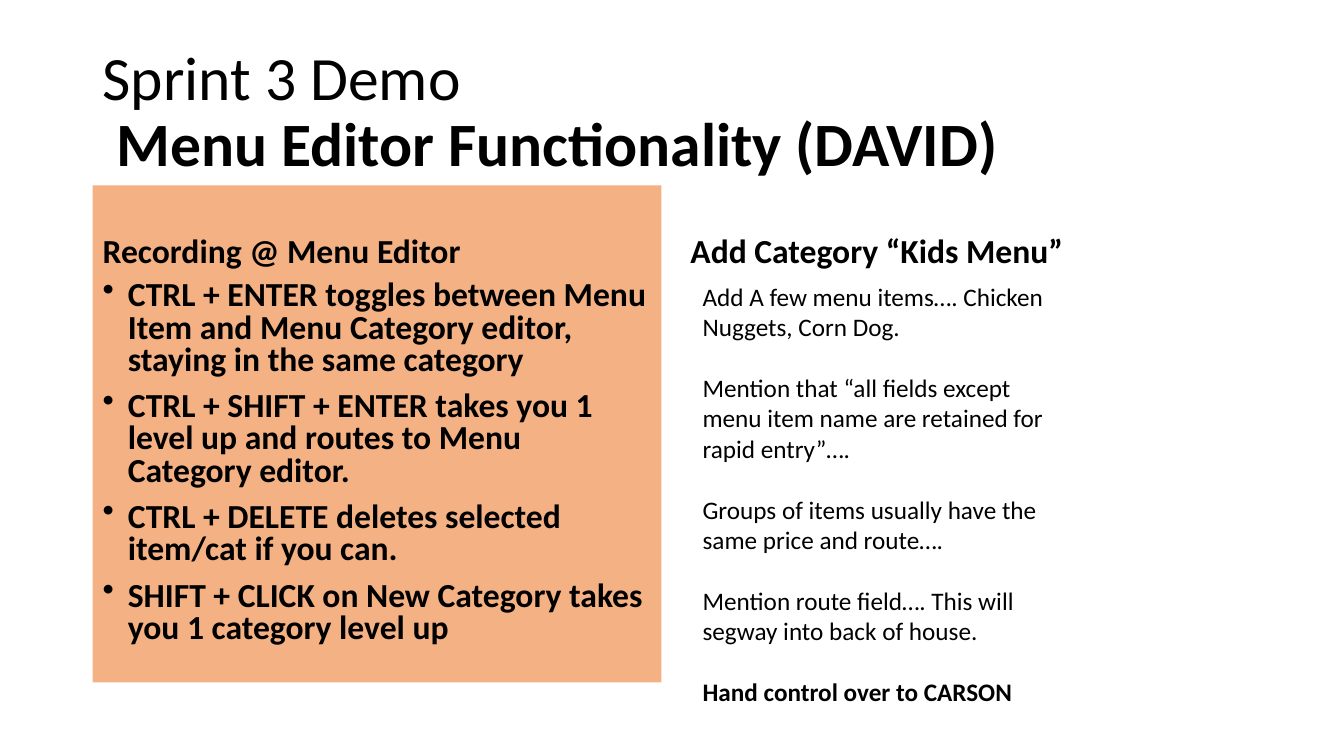
"""Builds the Sprint 3 menu editor demo slide."""
from dataclasses import dataclass
from typing import Any

import pptx
import pptx.dml.color
import pptx.enum.shapes
import pptx.enum.text
import pptx.oxml
import pptx.oxml.ns
import pptx.util

Inches = pptx.util.Inches
Pt = pptx.util.Pt
Color = pptx.dml.color.RGBColor.from_string
Anchor = pptx.enum.text.MSO_ANCHOR


@dataclass(frozen=True)
class Theme:
    font: str = "Calibri"
    ink: str = "000000"
    peach: str = "F4B183"
    title: int = 44
    body: int = 24
    note: int = 18


@dataclass
class Deck:
    theme: Theme
    slide: Any

    def apply(self, target, values):
        for name, value in values.items():
            setattr(target, name, value)

    def fill(self, frame, lines, size, bold=False, anchor=Anchor.TOP, **form):
        self.apply(frame, {"word_wrap": True, "vertical_anchor": anchor})
        for index, text in enumerate(lines):
            para = frame.add_paragraph() if index else frame.paragraphs[0]
            self.apply(para, {"alignment": pptx.enum.text.PP_ALIGN.LEFT, **form})
            run = para.add_run()
            run.text = text
            self.apply(run.font, {"name": self.theme.font, "size": Pt(size), "bold": bold})
            run.font.color.rgb = Color(self.theme.ink)
        return frame.paragraphs

    def text(self, box, lines, size, **form):
        shape = self.slide.shapes.add_textbox(*map(Inches, box))
        return self.fill(shape.text_frame, lines, size, **form)

    def panel(self, box, lines, size, **form):
        kind = pptx.enum.shapes.MSO_SHAPE.RECTANGLE
        shape = self.slide.shapes.add_shape(kind, *map(Inches, box))
        shape.shadow.inherit = False
        shape.fill.solid()
        shape.fill.fore_color.rgb = Color(self.theme.peach)
        shape.line.fill.background()
        return self.fill(shape.text_frame, lines, size, **form)

    def indent(self, para, left, first=0, mark=None):
        props = para._p.get_or_add_pPr()
        props.set("marL", str(Inches(left)))
        props.set("indent", str(Inches(first)))
        if mark:
            bullet = pptx.oxml.parse_xml(
                f'<a:buChar {pptx.oxml.ns.nsdecls("a")} char="{mark}"/>')
            props.append(bullet)


show = pptx.Presentation()
show.slide_width, show.slide_height = Inches(13.33), Inches(7.5)
theme = Theme()
deck = Deck(theme, show.slides.add_slide(show.slide_layouts[6]))

left, right, top, mid = 0.92, 6.75, 1.84, 2.74
wide, high = 5.64, mid - top

title = deck.text((left, 0.4, 11.5, 1.45),
                  ["Sprint 3 Demo", "Menu Editor Functionality (DAVID)"],
                  theme.title, anchor=Anchor.MIDDLE, line_spacing=0.9)
title[1].runs[0].font.bold = True
deck.indent(title[1], 0.14)

head = {"size": theme.body, "bold": True, "anchor": Anchor.BOTTOM,
        "line_spacing": 0.9, "space_before": Pt(10)}
deck.panel((left, top, wide, high), ["Recording @ Menu Editor"], **head)
deck.text((right, top, 5.67, high), ["Add Category “Kids Menu”"], **head)

keys = [
    "CTRL + ENTER toggles between Menu Item and Menu Category editor, "
    "staying in the same category",
    "CTRL + SHIFT + ENTER takes you 1 level up and routes to Menu Category editor.",
    "CTRL + DELETE deletes selected item/cat if you can.",
    "SHIFT + CLICK on New Category takes you 1 category level up",
]
for para in deck.panel((left, mid, wide, 4.03), keys, theme.body, bold=True,
                       line_spacing=0.8, space_before=Pt(10)):
    deck.indent(para, 0.25, -0.25, "•")

notes = [
    "Add A few menu items…. Chicken Nuggets, Corn Dog.",
    "Mention that “all fields except menu item name are retained for rapid entry”….",
    "Groups of items usually have the same price and route….",
    "Mention route field…. This will segway into back of house.",
    "Hand control over to CARSON",
]
steps = deck.text((6.87, mid, 3.89, 4.34), notes, theme.note, space_after=Pt(22))
steps[-1].runs[0].font.bold = True

show.save("out.pptx")
